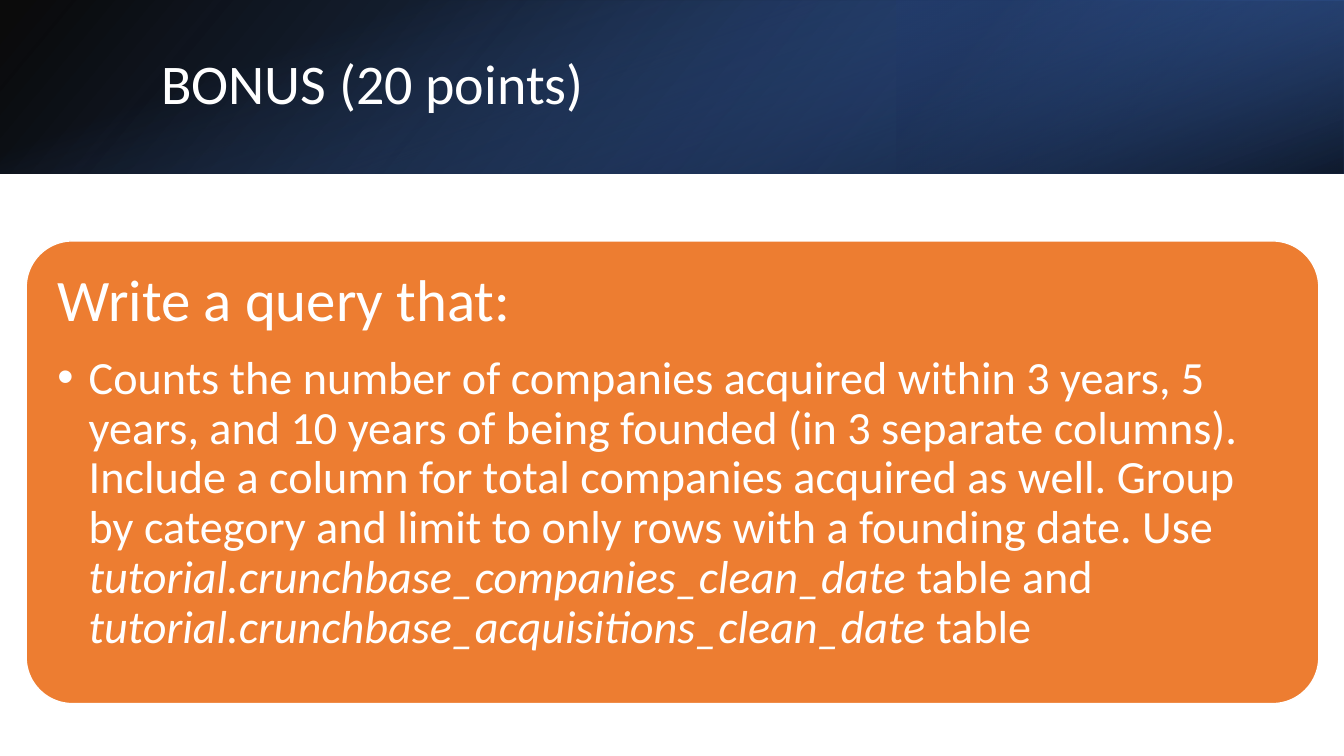
"""Build the bonus question slide: a shaded title band above a rounded task card."""
from dataclasses import dataclass

from lxml.etree import SubElement
from pptx import Presentation
from pptx.dml.color import RGBColor
from pptx.enum.shapes import MSO_SHAPE
from pptx.enum.text import MSO_ANCHOR, MSO_AUTO_SIZE, PP_ALIGN
from pptx.oxml.ns import qn
from pptx.util import Emu, Pt

SCALE = 9144
FONT = "Calibri"
WHITE = "FFFFFF"
ORANGE = "ED7D31"


@dataclass(frozen=True)
class Stop:
    at: int
    color: str
    alpha: int


@dataclass(frozen=True)
class Band:
    box: tuple[int, int, int, int]
    angle: int
    stops: tuple[Stop, Stop]
    turn: int = 0
    flip: bool = False


BANDS = (
    Band((0, 0, 1333, 172), 140, (Stop(0, "000000", 96), Stop(100, "2F5597", 100)), flip=True),
    Band((889, 0, 444, 172), 320, (Stop(19, "203864", 68), Stop(100, "4472C4", 79)), 180, True),
    Band((580, -580, 172, 1333), 340, (Stop(23, "4472C4", 0), Stop(99, "000000", 74)), 90),
)
TASK = (
    ("Counts the number of companies acquired within 3 years, 5 years, and 10 years of being "
     "founded (in 3 separate columns). Include a column for total companies acquired as well. "
     "Group by category and limit to only rows with a founding date. Use ", False),
    ("tutorial.crunchbase_companies_clean_date ", True),
    ("table and ", False),
    ("tutorial.crunchbase_acquisitions_clean_date ", True),
    ("table", False),
)


def px(size: int) -> Emu:
    return Emu(size * SCALE)


def rgb(color: str) -> RGBColor:
    return RGBColor.from_string(color)


def place(shape, box: tuple[int, int, int, int]) -> None:
    shape.left, shape.top, shape.width, shape.height = map(px, box)


def draw_band(slide, band: Band):
    shape = slide.shapes.add_shape(MSO_SHAPE.RECTANGLE, *map(px, band.box))
    shape.shadow.inherit = False
    shape.line.fill.background()
    shape.rotation = band.turn
    if band.flip:
        shape._element.spPr.find(qn("a:xfrm")).set("flipH", "1")
    shape.fill.gradient()
    shape.fill.gradient_angle = 360 - band.angle
    for mark, stop in zip(shape.fill.gradient_stops, band.stops):
        mark.position = stop.at / 100
        mark.color.rgb = rgb(stop.color)
    colors = shape._element.spPr.find(qn("a:gradFill")).iter(qn("a:srgbClr"))
    for node, stop in zip(colors, band.stops):
        SubElement(node, qn("a:alpha"), val=str(stop.alpha * 1000))
    return shape


def draw_card(slide, box: tuple[int, int, int, int]):
    card = slide.shapes.add_shape(MSO_SHAPE.ROUNDED_RECTANGLE, *map(px, box))
    card.adjustments[0] = 0.1
    card.shadow.inherit = False
    card.fill.solid()
    card.fill.fore_color.rgb = rgb(ORANGE)
    card.line.color.rgb = rgb(WHITE)
    card.line.width = Pt(1)
    return card


def write(para, *parts: tuple[str, bool], size: int, after: int, bullet: bool = False) -> None:
    if bullet:
        props = para._p.get_or_add_pPr()
        props.set("marL", str(px(31)))
        props.set("indent", str(px(-31)))
        SubElement(props, qn("a:buFont"), typeface="Arial")
        SubElement(props, qn("a:buChar"), char="•")
    para.alignment = PP_ALIGN.LEFT
    para.line_spacing = 0.9
    para.space_before = Pt(0)
    para.space_after = Pt(after)
    for text, slant in parts:
        run = para.add_run()
        run.text = text
        run.font.name = FONT
        run.font.size = Pt(size)
        run.font.italic = slant
        run.font.color.rgb = rgb(WHITE)


def main() -> None:
    deck = Presentation()
    deck.slide_width, deck.slide_height = px(1333), px(750)
    slide = deck.slides.add_slide(deck.slide_layouts[5])
    for band in BANDS:
        draw_band(slide, band)

    title = slide.shapes.title
    place(title, (150, 38, 1098, 96))
    slide.shapes._spTree.append(title._element)
    frame = title.text_frame
    frame.auto_size = MSO_AUTO_SIZE.NONE
    frame.vertical_anchor = MSO_ANCHOR.MIDDLE
    write(frame.paragraphs[0], ("BONUS (20 points)", False), size=40, after=6)

    draw_card(slide, (26, 239, 1282, 459))
    frame = slide.shapes.add_textbox(*map(px, (40, 252, 1255, 432))).text_frame
    frame.word_wrap = True
    frame.margin_left = frame.margin_right = px(17)
    frame.margin_top = frame.margin_bottom = px(17)
    write(frame.paragraphs[0], ("Write a query that:", False), size=42, after=14)
    write(frame.add_paragraph(), *TASK, size=33, after=5, bullet=True)
    deck.save("out.pptx")


if __name__ == "__main__":
    main()
